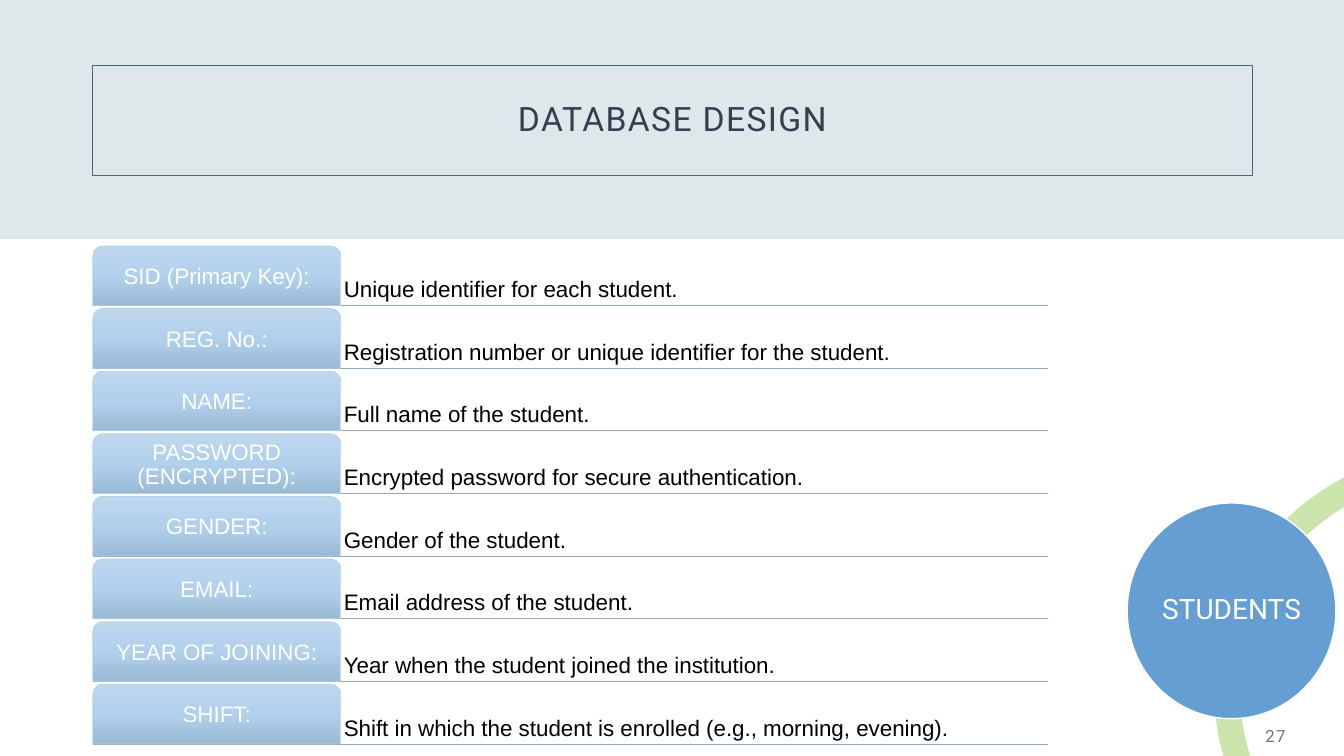
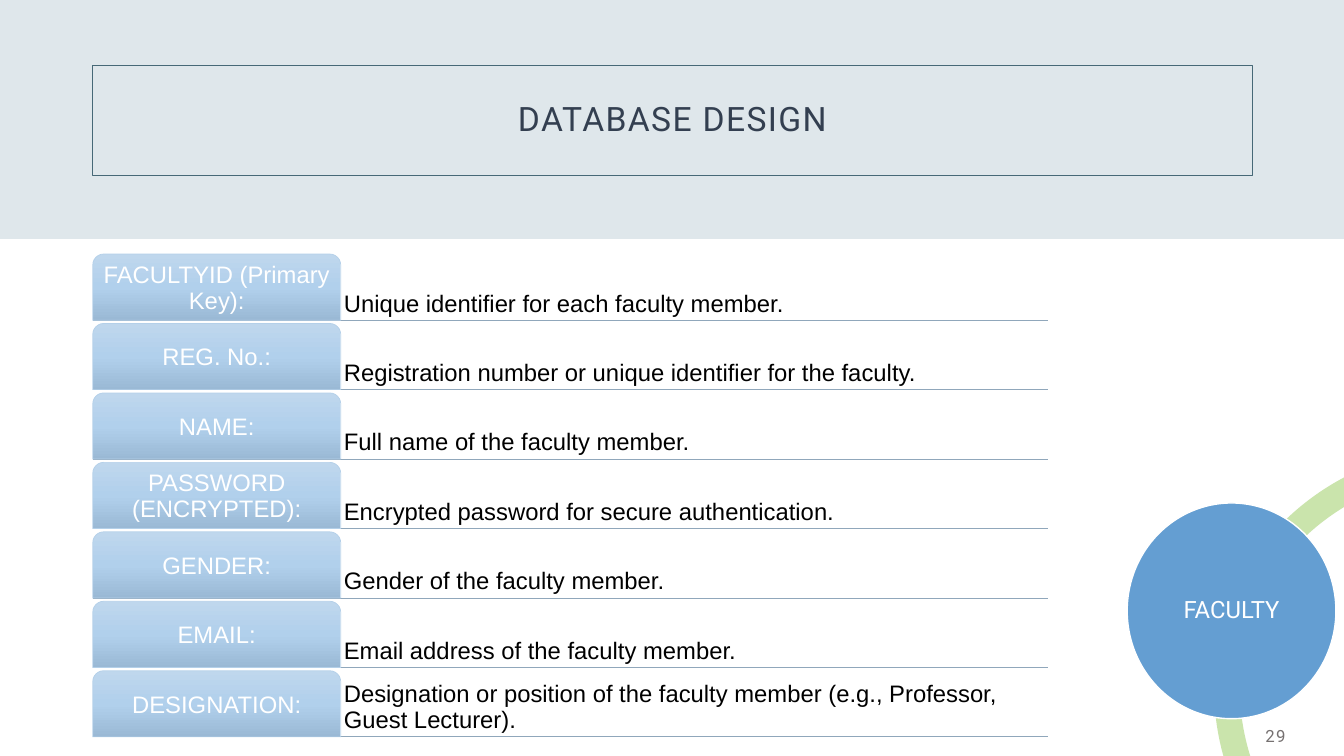
from copy import deepcopy
from dataclasses import dataclass

from lxml.etree import SubElement
from pptx import Presentation
from pptx.dml.color import RGBColor
from pptx.enum.shapes import MSO_CONNECTOR, MSO_SHAPE as Preset
from pptx.enum.text import MSO_ANCHOR as Anchor, MSO_AUTO_SIZE, PP_ALIGN as Align
from pptx.oxml.ns import qn
from pptx.shapes.autoshape import Shape
from pptx.slide import Slide, SlideLayout
from pptx.util import Inches, Pt

WHITE = RGBColor(0xFF, 0xFF, 0xFF)
BLACK = RGBColor(0x00, 0x00, 0x00)
BAND = RGBColor(0xD7, 0xE2, 0xE7)
TITLE_TEXT = RGBColor(0x33, 0x3F, 0x50)
TITLE_BORDER = RGBColor(0x47, 0x69, 0x77)
NUMBER_TEXT = RGBColor(0x76, 0x71, 0x71)
ARC = RGBColor(0xCA, 0xE4, 0xAC)
CIRCLE = RGBColor(0x64, 0x9E, 0xD2)
RULE = RGBColor(0x90, 0xA7, 0xBB)
TAB_BORDER = RGBColor(0xB4, 0xD0, 0xE9)
TAB_GRADIENT = (
    RGBColor(0xBF, 0xD7, 0xED),
    RGBColor(0xB1, 0xD0, 0xEC),
    RGBColor(0x9A, 0xB9, 0xD5),
)

HEADING_FONT = "Roboto"
BODY_FONT = "Arial"
LEFT = 0.92
TAB_WIDTH = 2.46
DESCRIPTION_WIDTH = 7.01
GAP_RATIO = 0.05
ARC_SIZE = 5.11
ARC_THICKNESS = 0.05
DEGREE = 0.6


@dataclass(frozen=True)
class RingArc:
    """A ring segment with its place and its angles in degrees."""

    left: float
    top: float
    start: float
    end: float


@dataclass(frozen=True)
class Field:
    """A database column and what it holds."""

    name: str
    description: str


@dataclass(frozen=True)
class EntitySlide:
    """The content and list extent of one entity slide."""

    entity: str
    entity_size: int
    entity_margin: float
    number: str
    top: float
    bottom: float
    text_size: int
    margin: float
    fields: tuple[Field, ...]


@dataclass(frozen=True)
class TextStyle:
    """The look of a text and its place inside a shape."""

    font: str
    size: int
    color: RGBColor
    align: Align
    anchor: Anchor = Anchor.MIDDLE
    margin: float | None = None
    line_spacing: float = 0.9
    tracking: int = 0


RING_ARCS = (RingArc(11.97, 4.44, 202.04, 279.3), RingArc(12.04, 4.26, 116.85, 197.77))
TITLE_STYLE = TextStyle(HEADING_FONT, 24, TITLE_TEXT, Align.CENTER, tracking=100)
NUMBER_STYLE = TextStyle(
    HEADING_FONT, 12, NUMBER_TEXT, Align.RIGHT, line_spacing=1.0, tracking=100
)

SLIDES = (
    EntitySlide("STUDENTS", 20, 0.03, "27", 2.44, 7.38, 16, 0.03, (
        Field("SID (Primary Key):", "Unique identifier for each student."),
        Field("REG. No.:", "Registration number or unique identifier for the student."),
        Field("NAME:", "Full name of the student."),
        Field("PASSWORD (ENCRYPTED):", "Encrypted password for secure authentication."),
        Field("GENDER:", "Gender of the student."),
        Field("EMAIL:", "Email address of the student."),
        Field("YEAR OF JOINING:", "Year when the student joined the institution."),
        Field("SHIFT:", "Shift in which the student is enrolled (e.g., morning, evening)."),
    )),
    EntitySlide("FACULTY", 17, 0.02, "29", 2.52, 7.31, 17, 0.03, (
        Field("FACULTYID (Primary Key):", "Unique identifier for each faculty member."),
        Field("REG. No.:", "Registration number or unique identifier for the faculty."),
        Field("NAME:", "Full name of the faculty member."),
        Field("PASSWORD (ENCRYPTED):", "Encrypted password for secure authentication."),
        Field("GENDER:", "Gender of the faculty member."),
        Field("EMAIL:", "Email address of the faculty member."),
        Field(
            "DESIGNATION:",
            "Designation or position of the faculty member (e.g., Professor, Guest Lecturer).",
        ),
    )),
)


def write_text(shape: Shape, text: str, style: TextStyle) -> None:
    """Write one styled paragraph into a shape."""
    frame = shape.text_frame
    frame.text = text
    frame.word_wrap = True
    frame.auto_size = MSO_AUTO_SIZE.NONE
    frame.vertical_anchor = style.anchor
    if style.margin is not None:
        frame.margin_left = frame.margin_right = Inches(style.margin)
        frame.margin_top = frame.margin_bottom = Inches(style.margin)
    paragraph = frame.paragraphs[0]
    paragraph.alignment = style.align
    paragraph.line_spacing = style.line_spacing
    font = paragraph.runs[0].font
    font.name = style.font
    font.size = Pt(style.size)
    font.color.rgb = style.color
    if style.tracking:
        paragraph.runs[0].font._element.set("spc", str(style.tracking))


def add_preset(
    slide: Slide, preset: Preset, left: float, top: float, width: float, height: float
) -> Shape:
    """Add a preset shape without shadow or outline."""
    shape = slide.shapes.add_shape(
        preset, Inches(left), Inches(top), Inches(width), Inches(height)
    )
    shape.shadow.inherit = False
    shape.line.fill.background()
    return shape


def fill_solid(shape: Shape, color: RGBColor) -> None:
    """Fill a shape with one colour."""
    shape.fill.solid()
    shape.fill.fore_color.rgb = color


def set_border(shape: Shape, color: RGBColor, width: float) -> None:
    """Outline a shape."""
    shape.line.color.rgb = color
    shape.line.width = Pt(width)


def add_textbox(
    slide: Slide, left: float, top: float, width: float, height: float,
    text: str, style: TextStyle,
) -> None:
    """Add a text box with one styled paragraph."""
    box = slide.shapes.add_textbox(
        Inches(left), Inches(top), Inches(width), Inches(height)
    )
    write_text(box, text, style)


def move_band_to_layout(slide: Slide, layout: SlideLayout) -> None:
    """Place the translucent header band behind everything on the layout."""
    band = add_preset(slide, Preset.RECTANGLE, 0, 0, 13.33, 2.37)
    fill_solid(band, BAND)
    color = next(band.element.spPr.iter(qn("a:srgbClr")))
    SubElement(color, qn("a:alpha")).set("val", "80000")
    layout.shapes.element.insert(2, band.element)


def format_title(slide: Slide) -> None:
    """Position and style the framed title."""
    title = slide.shapes.title
    title.left, title.top = Inches(LEFT), Inches(0.65)
    title.width, title.height = Inches(11.5), Inches(1.09)
    set_border(title, TITLE_BORDER, 0.75)
    write_text(title, "DATABASE DESIGN", TITLE_STYLE)


def draw_entity(slide: Slide, content: EntitySlide) -> None:
    """Draw the entity circle on its ring."""
    for arc in RING_ARCS:
        shape = add_preset(
            slide, Preset.BLOCK_ARC, arc.left, arc.top, ARC_SIZE, ARC_SIZE
        )
        fill_solid(shape, ARC)
        shape.adjustments[0] = arc.start * DEGREE
        shape.adjustments[1] = arc.end * DEGREE
        shape.adjustments[2] = ARC_THICKNESS
    circle = add_preset(slide, Preset.OVAL, 11.18, 4.99, 2.07, 2.14)
    fill_solid(circle, CIRCLE)
    set_border(circle, WHITE, 1)
    write_text(circle, content.entity, TextStyle(
        HEADING_FONT, content.entity_size, WHITE, Align.CENTER,
        margin=content.entity_margin,
    ))


def add_rule(slide: Slide, top: float) -> None:
    """Draw the thin line below a field."""
    right = LEFT + TAB_WIDTH + DESCRIPTION_WIDTH
    rule = slide.shapes.add_connector(
        MSO_CONNECTOR.STRAIGHT, Inches(LEFT), Inches(top), Inches(right), Inches(top)
    )
    rule.line.color.rgb = RULE
    rule.line.width = Pt(0.5)
    SubElement(rule.element.spPr, qn("a:effectLst"))


def add_tab(slide: Slide, top: float, height: float) -> Shape:
    """Draw a gradient tab with rounded top corners."""
    tab = add_preset(
        slide, Preset.ROUND_2_SAME_RECTANGLE, LEFT, top, TAB_WIDTH, height
    )
    tab.fill.gradient()
    tab.fill.gradient_angle = 270
    stop_list = next(tab.element.spPr.iter(qn("a:gsLst")))
    stop_list.insert(1, deepcopy(stop_list[0]))
    for index, stop in enumerate(tab.fill.gradient_stops):
        stop.position = index / 2
        stop.color.rgb = TAB_GRADIENT[index]
    set_border(tab, TAB_BORDER, 0.5)
    return tab


def draw_fields(slide: Slide, content: EntitySlide) -> None:
    """Stack the fields evenly between the top and bottom of the list."""
    count = len(content.fields)
    height = (content.bottom - content.top) / (count + GAP_RATIO * (count - 1))
    tops = [content.top + index * height * (1 + GAP_RATIO) for index in range(count)]
    name_style = TextStyle(
        BODY_FONT, content.text_size, WHITE, Align.CENTER, margin=content.margin
    )
    description_style = TextStyle(
        BODY_FONT, content.text_size, BLACK, Align.LEFT, Anchor.BOTTOM, content.margin
    )
    for top, field in zip(tops, content.fields):
        add_rule(slide, top + height)
        add_textbox(
            slide, LEFT + TAB_WIDTH, top, DESCRIPTION_WIDTH, height,
            field.description, description_style,
        )
        write_text(add_tab(slide, top, height), field.name, name_style)


def main() -> None:
    """Build and save the presentation."""
    presentation = Presentation()
    presentation.slide_width = Inches(13.33)
    presentation.slide_height = Inches(7.5)
    layout = presentation.slide_layouts[5]
    for index, content in enumerate(SLIDES):
        slide = presentation.slides.add_slide(layout)
        if index == 0:
            move_band_to_layout(slide, layout)
        format_title(slide)
        draw_entity(slide, content)
        draw_fields(slide, content)
        add_textbox(slide, 9.85, 7.1, 3, 0.4, content.number, NUMBER_STYLE)
    presentation.save("out.pptx")


if __name__ == "__main__":
    main()
